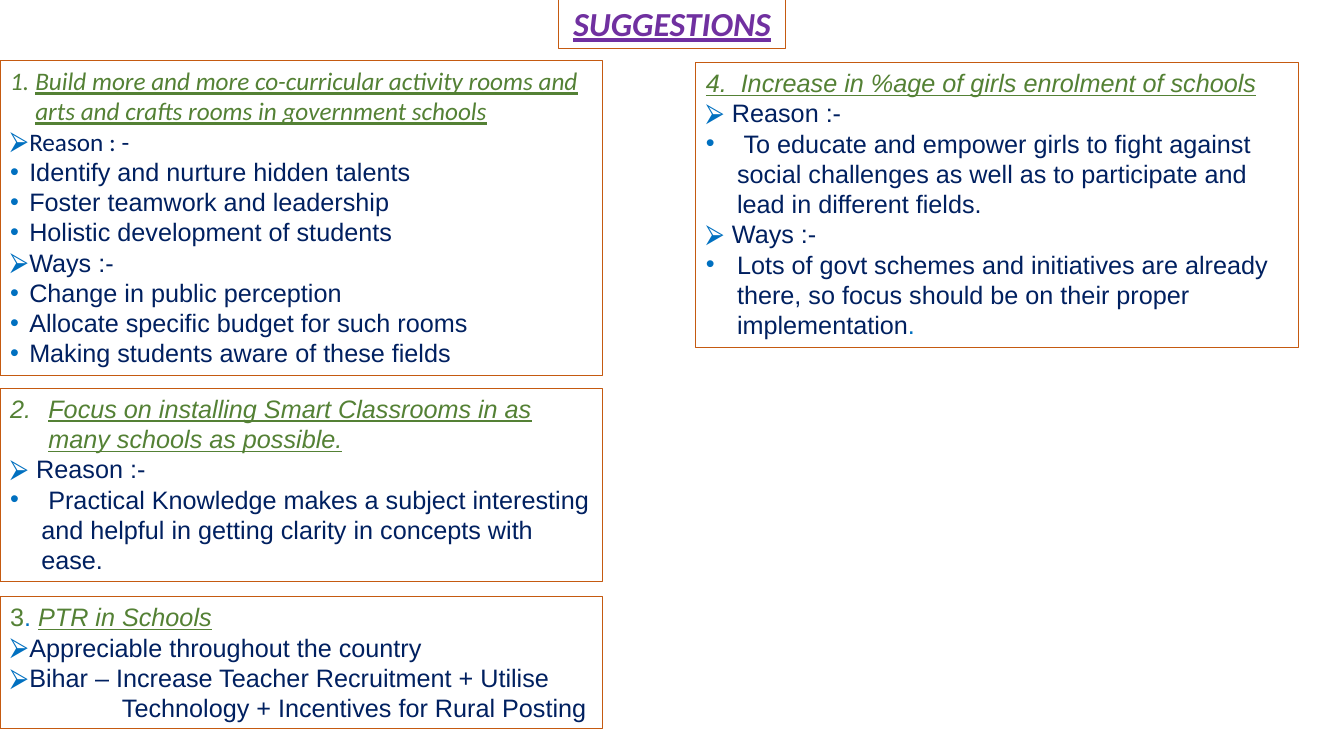
from dataclasses import dataclass

from lxml import etree
from pptx import Presentation
from pptx.dml.color import RGBColor
from pptx.enum.text import MSO_ANCHOR, MSO_AUTO_SIZE, PP_ALIGN
from pptx.oxml.ns import qn
from pptx.util import Inches, Pt

TOP, MIDDLE = MSO_ANCHOR.TOP, MSO_ANCHOR.MIDDLE
NO_AUTOFIT = MSO_AUTO_SIZE.NONE
LEFT, CENTER = PP_ALIGN.LEFT, PP_ALIGN.CENTER
COMPARISON_LAYOUT = 4

ORANGE, PURPLE, GREEN = "C55A11", "7030A0", "548135"
BLUE, NAVY = "0070C0", "002060"
ARROW, DOT = "⮚", "•"
COLUMN_WIDTH = 5.98
HANGING, DEEP_HANGING = 0.19, 0.31


@dataclass(frozen=True)
class Run:
    text: str
    color: str = NAVY
    font: str = "Arial"
    size: float = 18
    bold: bool = False
    emphasis: bool = False


@dataclass(frozen=True)
class Line:
    runs: tuple[Run, ...]
    bullet: str = ""
    number: int = 0
    margin: float = 0
    hanging: float = 0
    alignment: PP_ALIGN = LEFT


@dataclass(frozen=True)
class Box:
    left: float
    top: float
    width: float
    height: float
    lines: tuple[Line, ...]
    anchor: MSO_ANCHOR = TOP


def heading(text: str, number: int = 0, hanging: float = 0, font: str = "Arial") -> Line:
    run = Run(text, GREEN, font, emphasis=True)
    return Line((run,), number=number, margin=hanging, hanging=hanging)


def arrow(text: str, font: str = "Arial") -> Line:
    return Line((Run(text, font=font),), ARROW, margin=HANGING, hanging=HANGING)


def dot(text: str, hanging: float = HANGING, ending: str = "") -> Line:
    runs = (Run(text), Run(ending, BLUE)) if ending else (Run(text),)
    return Line(runs, DOT, margin=hanging, hanging=hanging)


TITLE = Box(5.54, -0.02, 2.25, 0.5, (
    Line((Run("SUGGESTIONS", PURPLE, "Calibri", 24, True, True),), alignment=CENTER),
), MIDDLE)

ACTIVITY_ROOMS = Box(0, 0.6, COLUMN_WIDTH, 3.13, (
    heading("Build more and more co-curricular activity rooms and "
            "arts and crafts rooms in government schools", 1, 0.25, "Calibri"),
    arrow("Reason : -", "Calibri"),
    dot("Identify and nurture hidden talents"),
    dot("Foster teamwork and leadership"),
    dot("Holistic development of students"),
    arrow("Ways :-"),
    dot("Change in public perception"),
    dot("Allocate specific budget for such rooms"),
    dot("Making students aware of these fields"),
))

SMART_CLASSROOMS = Box(0, 3.85, COLUMN_WIDTH, 1.92, (
    heading("Focus on installing Smart Classrooms in as many schools as possible.", 2, 0.38),
    arrow(" Reason :-"),
    dot(" Practical Knowledge makes a subject interesting and helpful "
        "in getting clarity in concepts with ease.", DEEP_HANGING),
))

TEACHER_RATIO = Box(0, 5.92, COLUMN_WIDTH, 1.31, (
    Line((Run("3", GREEN), Run(". ", BLUE), Run("PTR in Schools", GREEN, emphasis=True))),
    arrow("Appreciable throughout the country"),
    arrow("Bihar – Increase Teacher Recruitment + Utilise"),
    Line((Run("Technology + Incentives for Rural Posting"),), margin=1.11),
))

GIRLS_ENROLMENT = Box(6.9, 0.62, COLUMN_WIDTH, 2.83, (
    heading("4.  Increase in %age of girls enrolment of schools"),
    arrow(" Reason :-"),
    dot(" To educate and empower girls to fight against social challenges "
        "as well as to participate and lead in different fields.", DEEP_HANGING),
    arrow(" Ways :-"),
    dot("Lots of govt schemes and initiatives are already there, so focus "
        "should be on their proper implementation", DEEP_HANGING, "."),
))

BOXES = (TITLE, ACTIVITY_ROOMS, SMART_CLASSROOMS, TEACHER_RATIO, GIRLS_ENROLMENT)


def rgb(color: str) -> RGBColor:
    return RGBColor.from_string(color)


def apply(target: object, values: dict[str, object]) -> None:
    for name, value in values.items():
        setattr(target, name, value)


def set_bullet(paragraph, line: Line) -> None:
    properties = paragraph._p.get_or_add_pPr()
    properties.set("marL", str(Inches(line.margin)))
    properties.set("indent", str(-Inches(line.hanging)))
    if not (line.bullet or line.number):
        etree.SubElement(properties, qn("a:buNone"))
        return
    bullet_color = etree.SubElement(properties, qn("a:buClr"))
    etree.SubElement(bullet_color, qn("a:srgbClr"), val=GREEN if line.number else BLUE)
    etree.SubElement(properties, qn("a:buFont"), typeface=line.runs[0].font)
    if line.number:
        etree.SubElement(properties, qn("a:buAutoNum"),
                         type="arabicPeriod", startAt=str(line.number))
    else:
        etree.SubElement(properties, qn("a:buChar"), char=line.bullet)


def write_line(paragraph, line: Line) -> None:
    set_bullet(paragraph, line)
    apply(paragraph, {"alignment": line.alignment, "space_before": Pt(0)})
    for item in line.runs:
        run = paragraph.add_run()
        run.text = item.text
        apply(run.font, {
            "name": item.font, "size": Pt(item.size), "bold": item.bold,
            "italic": item.emphasis, "underline": item.emphasis,
        })
        run.font.color.rgb = rgb(item.color)


def fill_placeholder(placeholder, box: Box) -> None:
    apply(placeholder, {
        "left": Inches(box.left), "top": Inches(box.top),
        "width": Inches(box.width), "height": Inches(box.height),
    })
    apply(placeholder.line, {"width": Pt(0.75)})
    placeholder.line.color.rgb = rgb(ORANGE)
    frame = placeholder.text_frame
    apply(frame, {
        "word_wrap": True, "auto_size": NO_AUTOFIT, "vertical_anchor": box.anchor,
        "margin_left": Inches(0.1), "margin_right": Inches(0.1),
        "margin_top": Inches(0.05), "margin_bottom": Inches(0.05),
    })
    for index, line in enumerate(box.lines):
        write_line(frame.add_paragraph() if index else frame.paragraphs[0], line)


def main() -> None:
    presentation = Presentation()
    apply(presentation, {"slide_width": Inches(13.33), "slide_height": Inches(7.5)})
    slide = presentation.slides.add_slide(presentation.slide_layouts[COMPARISON_LAYOUT])
    for placeholder, box in zip(slide.placeholders, BOXES):
        fill_placeholder(placeholder, box)
    presentation.save("out.pptx")


if __name__ == "__main__":
    main()
